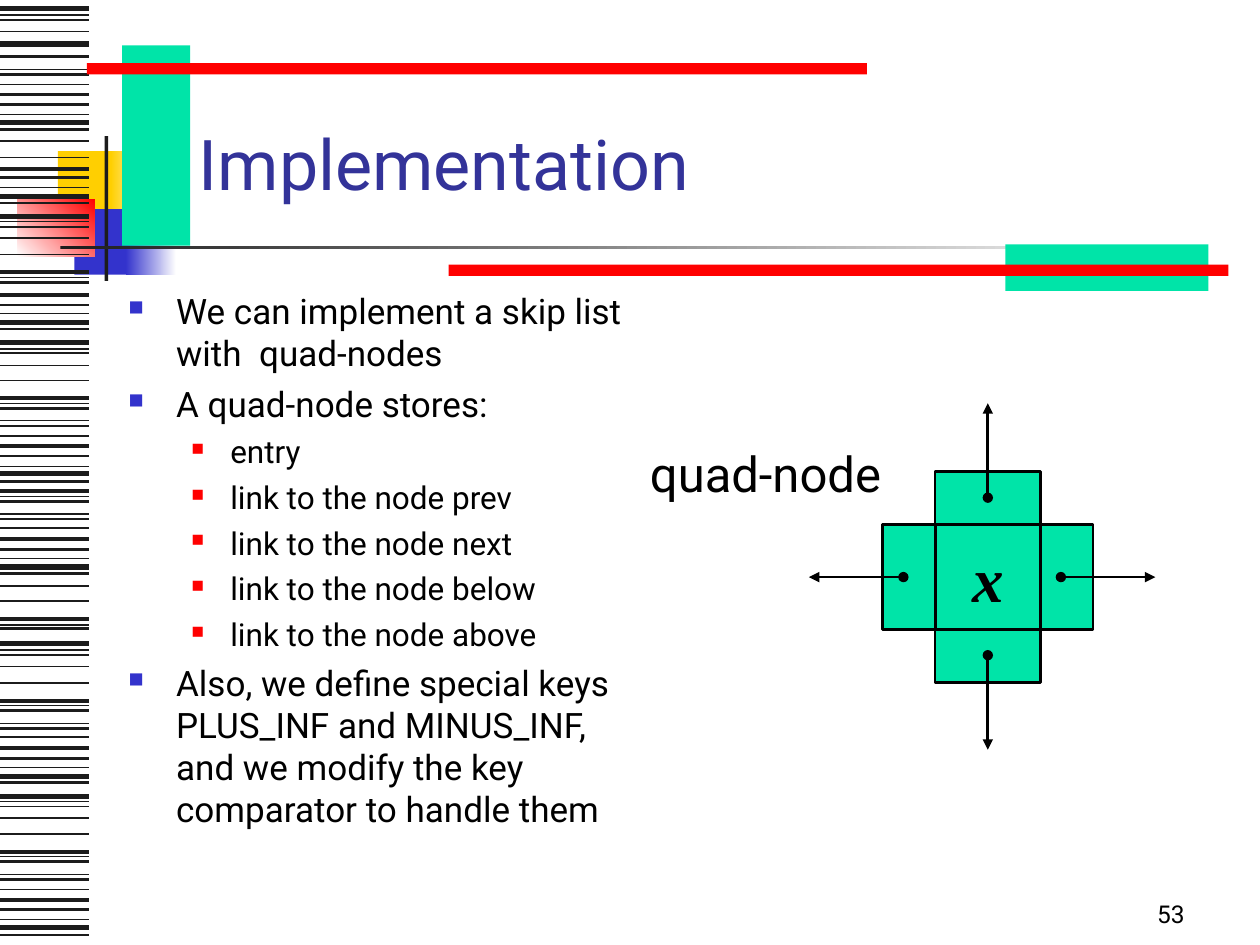
from pptx import Presentation
from pptx.dml.color import RGBColor
from pptx.enum.shapes import MSO_CONNECTOR as Connector, MSO_SHAPE as Shape
from pptx.enum.text import MSO_ANCHOR as Anchor, MSO_AUTO_SIZE as AutoSize, PP_ALIGN as Align
from pptx.oxml.ns import qn
from pptx.util import Inches, Pt
from lxml.etree import SubElement

WIDTH, HEIGHT = 10, 7.5
BLACK = RGBColor(0x00, 0x00, 0x00)
WHITE = RGBColor(0xFF, 0xFF, 0xFF)
CHARCOAL = RGBColor(0x1C, 0x1C, 0x1C)
YELLOW = RGBColor(0xFF, 0xCF, 0x01)
BLUE = RGBColor(0x33, 0x33, 0xCC)
NAVY = RGBColor(0x33, 0x33, 0x99)
RED = RGBColor(0xFF, 0x00, 0x00)
GREEN = RGBColor(0x00, 0xE4, 0xA8)
SANS, SERIF = "Roboto", "Times New Roman"

TITLE = "Implementation"
BULLETS = [
    (0, "We can implement a skip list with  quad-nodes"),
    (0, "A quad-node stores:"),
    (1, "entry"),
    (1, "link to the node prev"),
    (1, "link to the node next"),
    (1, "link to the node below"),
    (1, "link to the node above"),
    (0, "Also, we define special keys PLUS_INF and MINUS_INF, "
        "and we modify the key comparator to handle them"),
]
LEVELS = [
    {"size": 20, "before": 5, "left": 0.38, "hang": 0.38, "color": BLUE, "percent": 60},
    {"size": 18, "before": 4.5, "left": 0.81, "hang": 0.31, "color": RED, "percent": 55},
]

ORNAMENTS = [
    ((0.46, 1.2, 0.48, 0.52), [YELLOW], 0),
    ((0.88, 1.2, 0.36, 0.52), [YELLOW, WHITE], 0),
    ((0.59, 1.66, 0.46, 0.52), [BLUE], 0),
    ((1, 1.66, 0.4, 0.52), [BLUE, WHITE], 0),
    ((0.14, 1.58, 0.61, 0.46), [WHITE, RED], 45),
    ((0.83, 1.08, 0.03, 1.15), [CHARCOAL], 0),
    ((0.48, 1.95, 9, 0.03), [CHARCOAL, WHITE], 0),
]
BANNERS = [
    ((0.97, 0.36, 0.54, 1.59), [GREEN], 0),
    ((0.69, 0.5, 6.19, 0.09), [RED], 0),
    ((7.98, 1.94, 1.61, 0.37), [GREEN], 0),
    ((3.56, 2.1, 6.19, 0.09), [RED], 0),
]
BARCODE_WIDTH = 0.71
BARCODE = {
    0.75: [0.12, 0.55, 0.91, 1.49, 1.76, 2.2, 2.49, 2.77, 3.2, 3.34, 3.7, 3.94, 4.08,
           4.43, 4.96, 5.16, 5.6, 5.74, 6.09, 6.36, 6.8, 6.94, 7.3],
    1: [0.16, 0.25, 0.67, 1.12, 1.25, 1.8, 1.89, 2.02, 2.8, 2.9, 3.02, 3.46, 4.19,
        4.65, 4.77, 5.2, 5.29, 5.42, 5.85, 6.4, 6.49, 6.62, 7.06],
    1.5: [0.45, 0.59, 0.83, 1.03, 1.41, 1.61, 2.24, 2.42, 2.61, 3.24, 3.38, 3.62, 3.82,
          3.98, 4.12, 4.36, 4.55, 4.99, 5.64, 5.78, 6.02, 6.21, 6.84, 6.98, 7.22, 7.42],
    2.25: [0.75, 1.34, 2.16, 2.34, 3.16, 3.54, 3.9, 4.28, 4.91, 5.56, 5.94, 6.76, 7.14],
    3: [0.07, 0.35, 0.97, 1.56, 1.72, 2.56, 2.72, 3.76, 4.5, 5.11, 6.16, 6.32, 7.36],
}

NODE_X, NODE_Y = 7.84, 4.58
NODE_SIZE, LINK_LENGTH = 1.67, 0.75
LINKS = [(1, 0, 0.58), (-1, 0, 0.67), (0, -1, 0.63), (0, 1, 0.62)]

presentation = Presentation()
presentation.slide_width, presentation.slide_height = Inches(WIDTH), Inches(HEIGHT)
slide = presentation.slides.add_slide(presentation.slide_layouts[6])


def add_block(box, colors, angle=0, kind=Shape.RECTANGLE, outline=None):
    shape = slide.shapes.add_shape(kind, *map(Inches, box))
    shape.shadow.inherit = False
    if len(colors) == 1:
        shape.fill.solid()
        shape.fill.fore_color.rgb = colors[0]
    else:
        shape.fill.gradient()
        shape.fill.gradient_angle = angle
        for stop, color in zip(shape.fill.gradient_stops, colors):
            stop.color.rgb = color
    if outline is None:
        shape.line.fill.background()
    else:
        shape.line.color.rgb = outline
        shape.line.width = Pt(1.5)
    return shape


def add_line(start, end, color, weight, arrow=False):
    connector = slide.shapes.add_connector(
        Connector.STRAIGHT, *map(Inches, (*start, *end)))
    connector.line.color.rgb = color
    connector.line.width = Pt(weight)
    properties = connector._element.spPr
    if arrow:
        outline = properties.find(qn("a:ln"))
        SubElement(outline, qn("a:headEnd"), type="oval")
        SubElement(outline, qn("a:tailEnd"), type="triangle")
    SubElement(properties, qn("a:effectLst"))


def style(paragraph, size, color=BLACK, font=SANS, align=Align.LEFT, strong=False):
    paragraph.alignment = align
    for run in paragraph.runs:
        run.font.name, run.font.size = font, Pt(size)
        run.font.color.rgb = color
        run.font.bold = run.font.italic = strong


def add_text(box, text, size, anchor=Anchor.TOP, wrap=True, **look):
    frame = slide.shapes.add_textbox(*map(Inches, box)).text_frame
    frame.word_wrap, frame.vertical_anchor = wrap, anchor
    frame.text = text
    for paragraph in frame.paragraphs:
        style(paragraph, size, **look)
    return frame


def add_bullet(paragraph, level):
    rule = LEVELS[level]
    style(paragraph, rule["size"])
    paragraph.level = level
    paragraph.space_before = Pt(rule["before"])
    properties = paragraph._p.get_or_add_pPr()
    properties.set("marL", str(Inches(rule["left"])))
    properties.set("indent", str(-Inches(rule["hang"])))
    color = SubElement(properties, qn("a:buClr"))
    SubElement(color, qn("a:srgbClr"), val=str(rule["color"]))
    SubElement(properties, qn("a:buSzPct"), val=str(rule["percent"] * 1000))
    SubElement(properties, qn("a:buChar"), char="■")


for ornament in ORNAMENTS:
    add_block(*ornament)
for weight, heights in BARCODE.items():
    for y in heights:
        add_line((0, y), (BARCODE_WIDTH, y), CHARCOAL, weight)
for banner in BANNERS:
    add_block(*banner)

add_text((7.42, 6.92, 2.08, 0.5), "53", 14, anchor=Anchor.BOTTOM, align=Align.RIGHT)
add_text((1.48, 0.42, 8.52, 1.25), TITLE, 40, anchor=Anchor.BOTTOM, color=NAVY)
body = add_text((0.92, 2.25, 4.17, 4.75), "\n".join(text for _, text in BULLETS), 20)
for paragraph, (level, _) in zip(body.paragraphs, BULLETS):
    add_bullet(paragraph, level)


def centred_box(size):
    return NODE_X - size / 2, NODE_Y - size / 2, size, size


cross = add_block(centred_box(NODE_SIZE), [GREEN], kind=Shape.CROSS, outline=BLACK)
cross.adjustments[0] = 0.25
core = add_block(centred_box(NODE_SIZE / 2), [GREEN], outline=BLACK)
core.text_frame.word_wrap = False
core.text_frame.vertical_anchor = Anchor.MIDDLE
core.text_frame.text = "x"
style(core.text_frame.paragraphs[0], 36, font=SERIF, align=Align.CENTER, strong=True)

for dx, dy, offset in LINKS:
    start, end = ((NODE_X + dx * reach, NODE_Y + dy * reach)
                  for reach in (offset, offset + LINK_LENGTH))
    add_line(start, end, BLACK, 1.5, arrow=True)

label = add_text((4.98, 3.47, 2.19, 0.57), "quad-node", 28, wrap=False, align=Align.CENTER)
label.auto_size = AutoSize.SHAPE_TO_FIT_TEXT

presentation.save("out.pptx")
